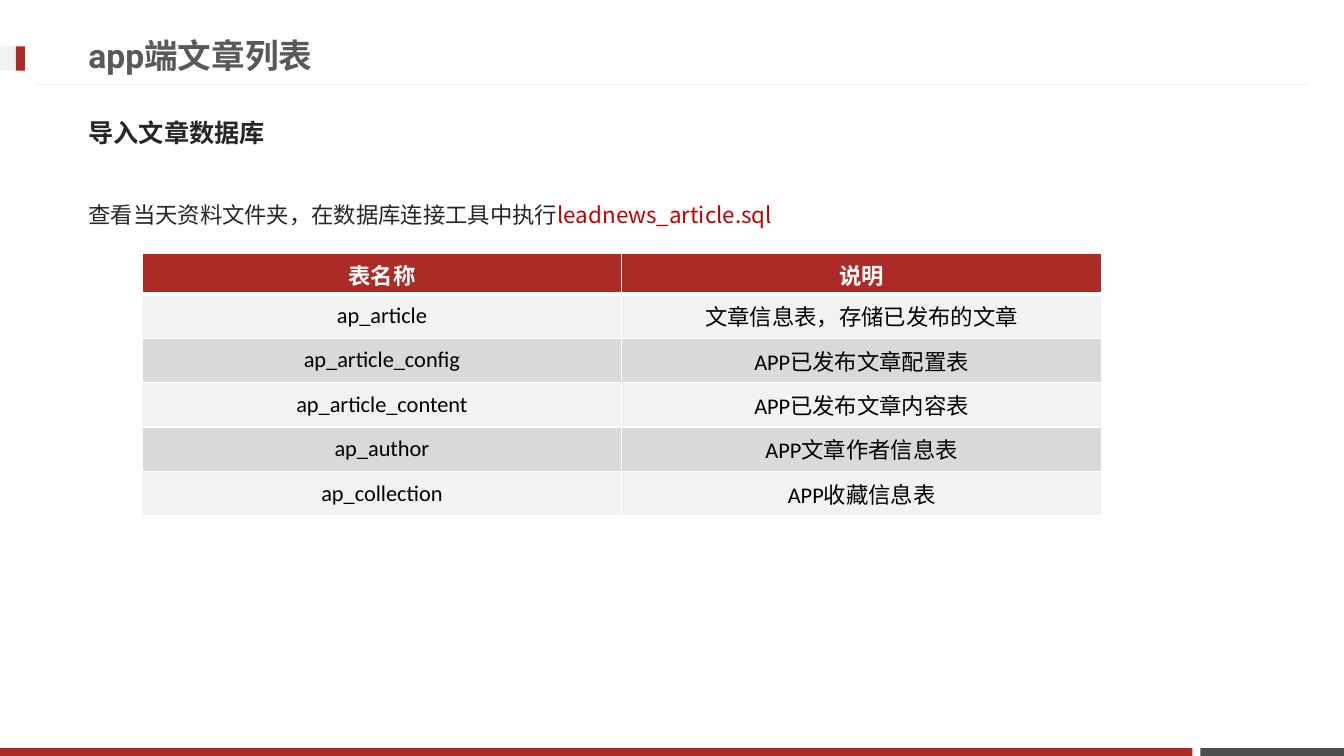
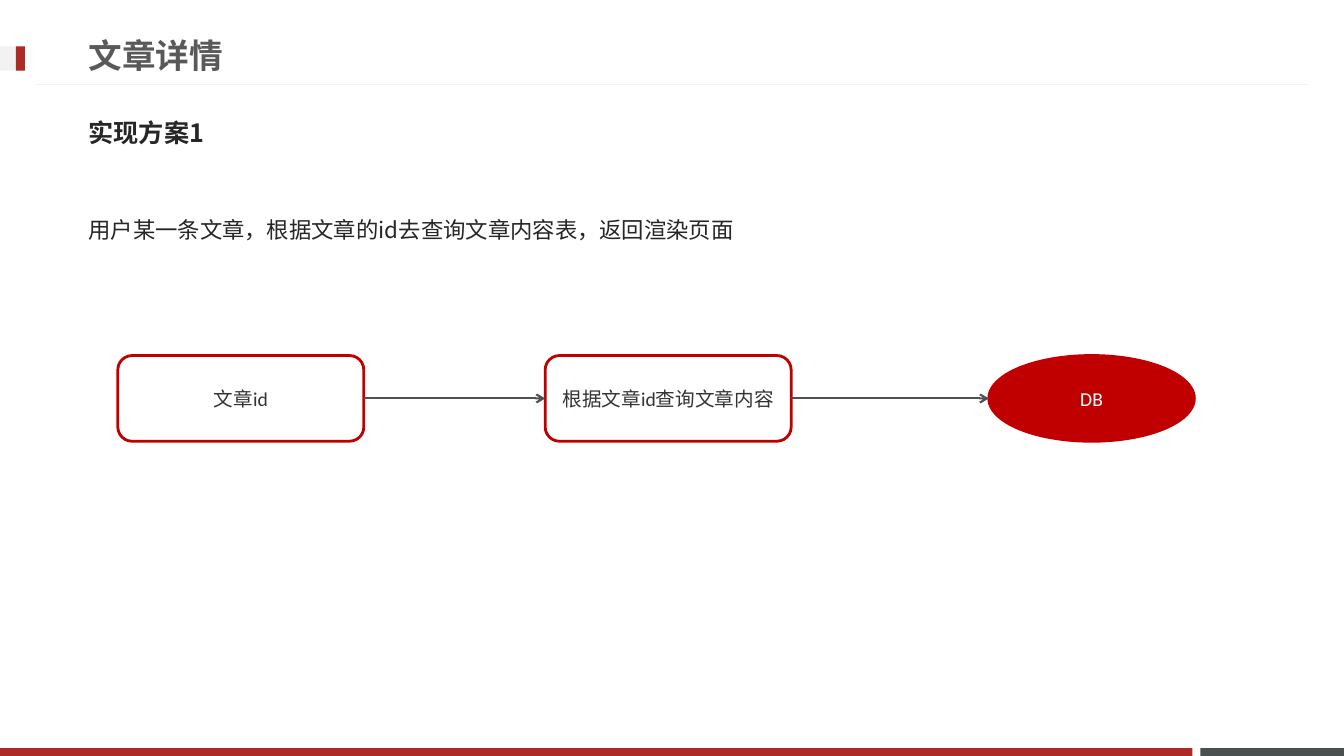
from lxml import etree
from pptx import Presentation
from pptx.dml import color as dml
from pptx.enum import shapes, text
from pptx.oxml import ns
from pptx.util import Cm, Pt

RED, DEEP_RED, SLATE = "AD2B26", "C00000", "49504F"
PALE, GREY, WHITE, BLACK = "F2F2F2", "D9D9D9", "FFFFFF", "000000"
TITLE, BODY, BOX_TEXT, ARROW = "595959", "262626", "333333", "515151"
CJK = "Noto Sans CJK JP"


def rgb(value):
    return dml.RGBColor.from_string(value)


def write(tf, runs, size, font, bold=False, align=None):
    """Fill the first paragraph with (words, colour) runs."""
    tf.word_wrap = True
    tf.vertical_anchor = text.MSO_ANCHOR.MIDDLE
    p = tf.paragraphs[0]
    p.alignment = align
    for words, colour in runs:
        r = p.add_run()
        r.text = words
        r.font.size, r.font.name, r.font.bold = Pt(size), font, bold
        r.font.color.rgb = rgb(colour)
        rPr = r._r.get_or_add_rPr()
        rPr.set("lang", "zh-CN")
        etree.SubElement(rPr, ns.qn("a:ea"), typeface=CJK)
    return p


prs = Presentation()
prs.slide_width, prs.slide_height = Cm(33.87), Cm(19.05)
CENTER = text.PP_ALIGN.CENTER

# Title, heading, body runs, body top and body width of each slide
pages = [
    ("app端文章列表", "导入文章数据库",
     [("查看当天资料文件夹，在数据库连接工具中执行", BODY),
      ("leadnews_article.sql", DEEP_RED)], 4.6, 29.72),
    ("文章详情", "实现方案1",
     [("用户某一条文章，根据文章的id去查询文章内容表，返回渲染页面", BODY)],
     4.98, 27),
]

# Footer bands and title marker: left, top, width, height, colour
bands = [
    (30.25, 18.85, 3.62, 0.2, SLATE),
    (0, 18.85, 30.05, 0.2, RED),
    (0, 1.17, 0.63, 0.61, PALE),
    (0.4, 1.17, 0.23, 0.61, RED),
]

for title, heading, body, body_top, body_width in pages:
    s = prs.slides.add_slide(prs.slide_layouts[6])
    for left, top, width, height, colour in bands:
        sp = s.shapes.add_shape(shapes.MSO_SHAPE.RECTANGLE,
                                Cm(left), Cm(top), Cm(width), Cm(height))
        sp.shadow.inherit = False
        sp.fill.solid()
        sp.fill.fore_color.rgb = rgb(colour)
        sp.line.fill.background()

    rule = s.shapes.add_connector(shapes.MSO_CONNECTOR.STRAIGHT,
                                  Cm(0.9), Cm(2.13), Cm(32.97), Cm(2.13))
    rule.line.color.rgb = rgb(PALE)
    rule.line.width = Pt(0.75)

    sp = s.shapes.add_textbox(Cm(1.98), Cm(0.66), Cm(24.36), Cm(1.45))
    write(sp.text_frame, [(title, TITLE)], 24, "Roboto", bold=True)

    sp = s.shapes.add_textbox(Cm(1.98), Cm(2.62), Cm(29.72), Cm(1.45))
    p = write(sp.text_frame, [(heading, BODY)], 18, CJK, bold=True)
    p.space_before = Pt(3.6)

    sp = s.shapes.add_textbox(Cm(1.98), Cm(body_top), Cm(body_width), Cm(1.45))
    p = write(sp.text_frame, body, 16, CJK)
    p.space_before, p.line_spacing = Pt(3.2), 1.5
    sp.text_frame.vertical_anchor = text.MSO_ANCHOR.TOP

list_slide, detail_slide = prs.slides

# Slide 1: table of database tables
rows = [
    ("表名称", "说明"),
    ("ap_article", "文章信息表，存储已发布的文章"),
    ("ap_article_config", "APP已发布文章配置表"),
    ("ap_article_content", "APP已发布文章内容表"),
    ("ap_author", "APP文章作者信息表"),
    ("ap_collection", "APP收藏信息表"),
]
table = list_slide.shapes.add_table(
    len(rows), 2, Cm(3.58), Cm(6.38), Cm(24.18), Cm(6.62)).table
table.horz_banding = False
for i, row in enumerate(rows):
    header = i == 0
    table.rows[i].height = Cm(1.02 if header else 1.12)
    for j, words in enumerate(row):
        cell = table.cell(i, j)
        write(cell.text_frame, [(words, WHITE if header else BLACK)],
              16, "Calibri", bold=header, align=CENTER)
        cell.vertical_anchor = text.MSO_ANCHOR.MIDDLE
        tcPr = cell._tc.get_or_add_tcPr()
        for side in ("lnL", "lnR", "lnT", "lnB"):
            thick = (i, side) in ((0, "lnB"), (1, "lnT"))
            ln = etree.SubElement(tcPr, ns.qn("a:" + side),
                                  w=str(Pt(3 if thick else 1)))
            fill = etree.SubElement(ln, ns.qn("a:solidFill"))
            etree.SubElement(fill, ns.qn("a:srgbClr"), val=WHITE)
        cell.fill.solid()
        cell.fill.fore_color.rgb = rgb(
            RED if header else PALE if i % 2 else GREY)

# Slide 2: query flow
steps = [
    ("文章id", shapes.MSO_SHAPE.ROUNDED_RECTANGLE, 2.97, 6.2),
    ("根据文章id查询文章内容", shapes.MSO_SHAPE.ROUNDED_RECTANGLE, 13.74, 6.2),
    ("DB", shapes.MSO_SHAPE.OVAL, 24.92, 5.18),
]
boxes = []
for words, kind, left, width in steps:
    sp = detail_slide.shapes.add_shape(kind, Cm(left), Cm(8.96), Cm(width), Cm(2.16))
    sp.shadow.inherit = False
    sp.line.color.rgb = rgb(DEEP_RED)
    sp.line.width = Pt(2)
    is_store = kind == shapes.MSO_SHAPE.OVAL
    if is_store:
        sp.fill.solid()
        sp.fill.fore_color.rgb = rgb(DEEP_RED)
    else:
        sp.fill.background()
    write(sp.text_frame, [(words, WHITE if is_store else BOX_TEXT)],
          14, "Calibri", align=CENTER)
    boxes.append(sp)

for start, end in zip(boxes, boxes[1:]):
    middle = start.top + start.height // 2
    arrow = detail_slide.shapes.add_connector(
        shapes.MSO_CONNECTOR.STRAIGHT,
        start.left + start.width, middle, end.left, middle)
    arrow.begin_connect(start, 3)
    if end.auto_shape_type == shapes.MSO_SHAPE.ROUNDED_RECTANGLE:
        arrow.end_connect(end, 1)
    arrow.line.color.rgb = rgb(ARROW)
    arrow.line.width = Pt(1.5)
    etree.SubElement(arrow.line._get_or_add_ln(), ns.qn("a:tailEnd"), type="arrow")

# Connectors without shadow
for s in prs.slides:
    for sp in s.shapes:
        if sp.shape_type == shapes.MSO_SHAPE_TYPE.LINE:
            etree.SubElement(sp._element.spPr, ns.qn("a:effectLst"))

prs.save("out.pptx")
